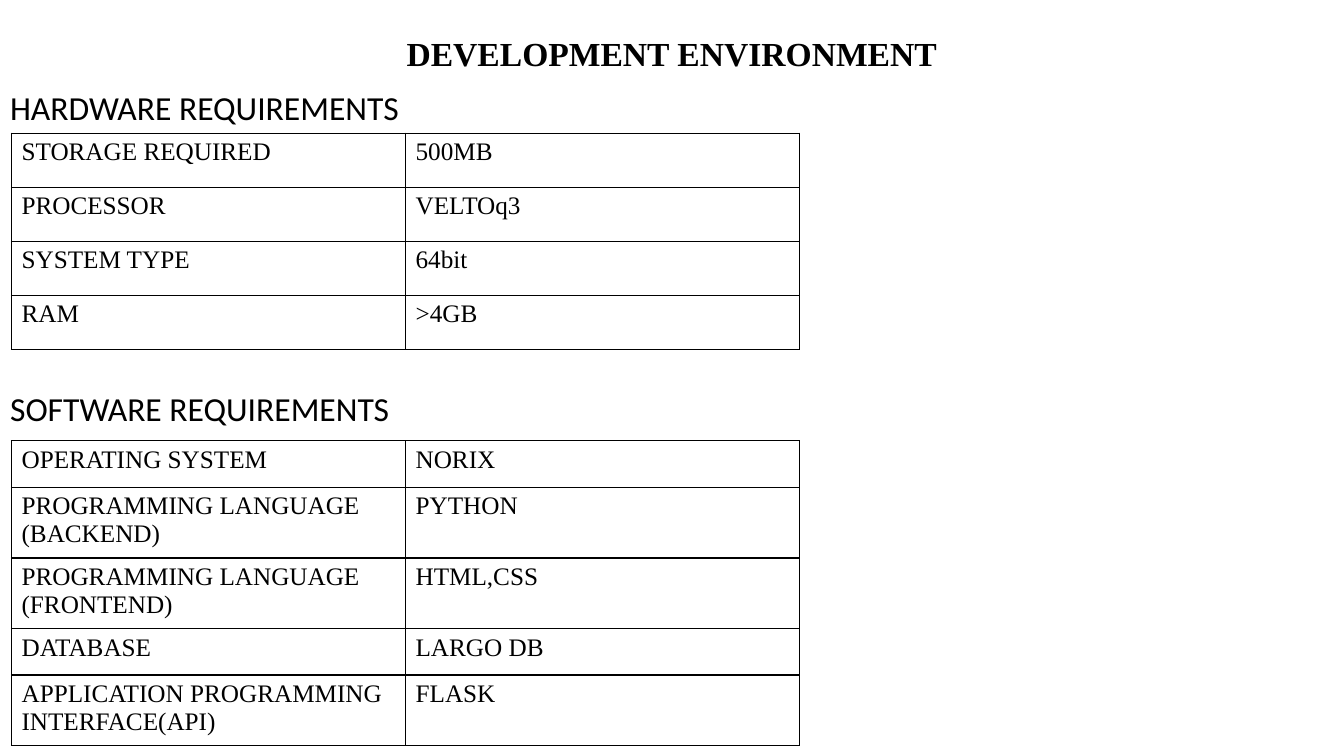
from lxml.etree import SubElement
from pptx import Presentation
from pptx.dml.color import RGBColor
from pptx.enum.text import MSO_ANCHOR as Anchor, MSO_AUTO_SIZE as AutoSize, PP_ALIGN as Align
from pptx.oxml.ns import qn
from pptx.util import Cm, Pt

BLACK = RGBColor(0x00, 0x00, 0x00)
WHITE = RGBColor(0xFF, 0xFF, 0xFF)
SERIF, SANS = "Times New Roman", "Calibri"

SINGLE_ROW, DOUBLE_ROW = 1.17, 1.78
HARDWARE = [
    ("STORAGE REQUIRED", "500MB"),
    ("PROCESSOR", "VELTOq3"),
    ("SYSTEM TYPE", "64bit"),
    ("RAM", ">4GB"),
]
SOFTWARE = [
    ("OPERATING SYSTEM", "NORIX"),
    ("PROGRAMMING LANGUAGE\n(BACKEND)", "PYTHON"),
    ("PROGRAMMING LANGUAGE\n(FRONTEND)", "HTML,CSS"),
    ("DATABASE", "LARGO DB"),
    ("APPLICATION PROGRAMMING\nINTERFACE(API)", "FLASK"),
]


def write(para, text, font=SERIF, size=18, bold=False, align=Align.LEFT,
          spacing=None, before=None):
    """Fill a paragraph with one formatted span."""
    para.alignment = align
    if spacing is not None:
        para.line_spacing = spacing
    if before is not None:
        para.space_before = Pt(before)
    span = para.add_run()
    span.text = text
    span.font.name = font
    span.font.size = Pt(size)
    span.font.bold = bold
    span.font.color.rgb = BLACK


class RequirementsPage:
    """The slide with its shared table style."""
    left, column_width, border = Cm(0.29), Cm(9.93), Pt(1)

    def __init__(self, deck):
        self.page = deck.slides.add_slide(deck.slide_layouts[0])
        self.page.background.fill.solid()
        self.page.background.fill.fore_color.rgb = WHITE

    def place(self, box, left, top, width, height, anchor):
        box.left, box.top, box.width, box.height = Cm(left), Cm(top), Cm(width), Cm(height)
        frame = box.text_frame
        frame.word_wrap = True
        frame.auto_size = AutoSize.NONE
        frame.vertical_anchor = anchor
        return frame

    def title(self, text):
        frame = self.place(self.page.shapes.title, 4.23, 0.28, 25.4, 1.7, Anchor.BOTTOM)
        write(frame.paragraphs[0], text, size=24, bold=True, align=Align.CENTER, spacing=0.9)

    def headings(self, first, second, gap):
        frame = self.place(self.page.placeholders[1], 0, 2.18, 33.87, 16.87, Anchor.TOP)
        write(frame.paragraphs[0], first, font=SANS, size=24, spacing=0.9, before=0)
        write(frame.add_paragraph(), second, font=SANS, size=24, spacing=0.9, before=gap)

    def outline(self, cell):
        properties = cell._tc.get_or_add_tcPr()
        for side in ("lnL", "lnR", "lnT", "lnB"):
            line = SubElement(properties, qn(f"a:{side}"), w=str(self.border))
            fill = SubElement(line, qn("a:solidFill"))
            SubElement(fill, qn("a:srgbClr"), val=str(BLACK))

    def table(self, rows, top, heights):
        shape = self.page.shapes.add_table(len(rows), 2, self.left, Cm(top),
                                           2 * self.column_width, Cm(sum(heights)))
        grid = shape.table
        grid.first_row = grid.horz_banding = False
        for column in grid.columns:
            column.width = self.column_width
        for row, height, texts in zip(grid.rows, heights, rows):
            row.height = Cm(height)
            for cell, text in zip(row.cells, texts):
                self.outline(cell)
                cell.fill.background()
                frame = cell.text_frame
                for index, line in enumerate(text.split("\n")):
                    write(frame.add_paragraph() if index else frame.paragraphs[0], line)


def main():
    deck = Presentation()
    deck.slide_width, deck.slide_height = Cm(33.87), Cm(19.05)
    slide = RequirementsPage(deck)

    # Title and section headings
    slide.title("DEVELOPMENT ENVIRONMENT")
    slide.headings("HARDWARE REQUIREMENTS", "SOFTWARE REQUIREMENTS", gap=189)

    # Requirement tables
    slide.table(HARDWARE, 3.36, [1.36] * len(HARDWARE))
    slide.table(SOFTWARE, 11.11,
                [DOUBLE_ROW if "\n" in name else SINGLE_ROW for name, _ in SOFTWARE])

    deck.save("out.pptx")


if __name__ == "__main__":
    main()
